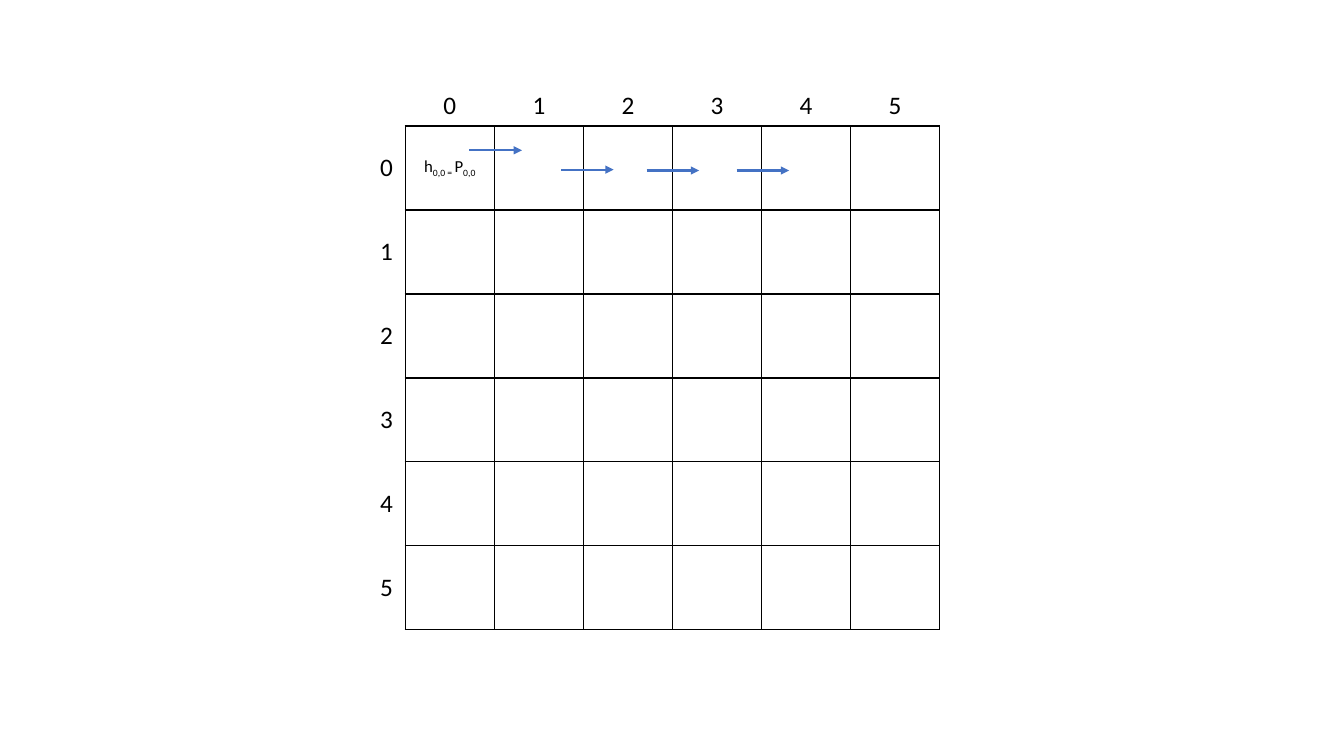
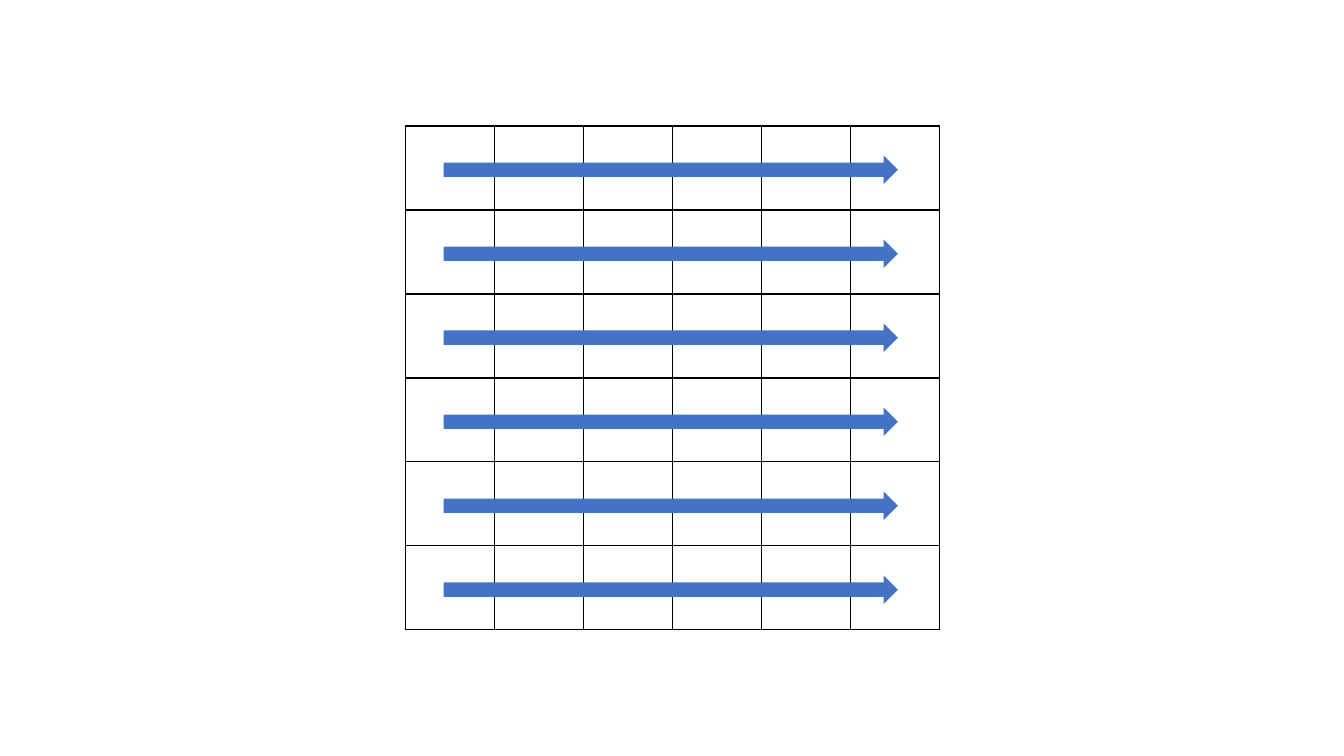
from lxml.etree import SubElement
from pptx import Presentation
from pptx.dml.color import RGBColor
from pptx.enum.shapes import MSO_CONNECTOR, MSO_SHAPE
from pptx.enum.text import MSO_ANCHOR, PP_ALIGN
from pptx.oxml.ns import qn
from pptx.util import Inches, Pt

FONT = "Calibri"
BLACK, BLUE = "000000", "4472C4"
SIZE = 6
LEFT, TOP, WIDE, HIGH = 4.02, 1.25, 5.3 / SIZE, 5 / SIZE
SIDE, HEAD = 0.42, 0.48
PLAIN = "{2D5ABB26-0587-4C30-8999-92F81FD0307C}"


def color(code):
    return RGBColor.from_string(code)


def across(col):
    return Inches(LEFT + col * WIDE)


def down(row):
    return Inches(TOP + row * HIGH)


def write(frame, *parts, size=18, tint=BLACK, align=PP_ALIGN.CENTER):
    line = frame.paragraphs[0]
    line.alignment = align
    for text, shift in parts:
        run = line.add_run()
        run.text = text
        run.font.name = FONT
        run.font.size = Pt(size)
        run.font.color.rgb = color(tint)
        if shift:
            run.font._element.set("baseline", str(shift * 1000))


def border(cell, tint, width):
    props = cell._tc.get_or_add_tcPr()
    for side in "LRTB":
        line = SubElement(props, qn(f"a:ln{side}"), w=str(Pt(width)))
        fill = SubElement(line, qn("a:solidFill"))
        SubElement(fill, qn("a:srgbClr"), val=tint)


def add_grid(slide, col, row, cols, rows, wide=1, high=1, lined=False):
    frame = slide.shapes.add_table(
        rows, cols, across(col), down(row),
        Inches(cols * wide * WIDE), Inches(rows * high * HIGH))
    table = frame.table
    table.first_row = table.horz_banding = False
    table._tbl.tblPr.find(qn("a:tableStyleId")).text = PLAIN
    for part in table.columns:
        part.width = Inches(wide * WIDE)
    for part in table.rows:
        part.height = Inches(high * HIGH)
    for cell in table.iter_cells():
        cell.vertical_anchor = MSO_ANCHOR.MIDDLE
        if lined:
            border(cell, BLACK, 1)
        cell.fill.background()
    return table


def add_board(slide):
    return add_grid(slide, 0, 0, SIZE, SIZE, lined=True)


def count(table):
    for number, cell in enumerate(table.iter_cells()):
        write(cell.text_frame, (str(number), 0))


def add_step(slide, col, row, span=0.59):
    step = slide.shapes.add_connector(
        MSO_CONNECTOR.STRAIGHT, across(col), down(row),
        across(col + span), down(row))
    step.line.color.rgb = color(BLUE)
    step.line.width = Pt(1.5)
    SubElement(step.line._get_or_add_ln(), qn("a:tailEnd"), type="triangle")
    SubElement(step._element.spPr, qn("a:effectLst"))


def add_sweep(slide, col, row, span=5.1, high=0.34):
    sweep = slide.shapes.add_shape(
        MSO_SHAPE.RIGHT_ARROW, across(col), down(row),
        Inches(span * WIDE), Inches(high * HIGH))
    sweep.shadow.inherit = False
    sweep.fill.solid()
    sweep.fill.fore_color.rgb = color(BLUE)
    sweep.line.fill.background()


def draw_steps(slide):
    board = add_board(slide)
    write(board.cell(0, 0).text_frame, ("h", 0), ("0,0 = ", -25),
          ("P", 0), ("0,0", -25), size=12)
    count(add_grid(slide, -SIDE, 0, 1, SIZE, wide=SIDE))
    count(add_grid(slide, 0, -HEAD, SIZE, 1, high=HEAD))
    for col, row in ((0.72, 0.29), (1.75, 0.52), (2.71, 0.53), (3.72, 0.53)):
        add_step(slide, col, row)


def draw_sweeps(slide):
    add_board(slide)
    for row in range(SIZE):
        add_sweep(slide, 0.43, row + 0.35)


def main():
    deck = Presentation()
    deck.slide_width, deck.slide_height = Inches(13.33), Inches(7.5)
    for draw in (draw_steps, draw_sweeps):
        draw(deck.slides.add_slide(deck.slide_layouts[6]))
    deck.save("out.pptx")


if __name__ == "__main__":
    main()
